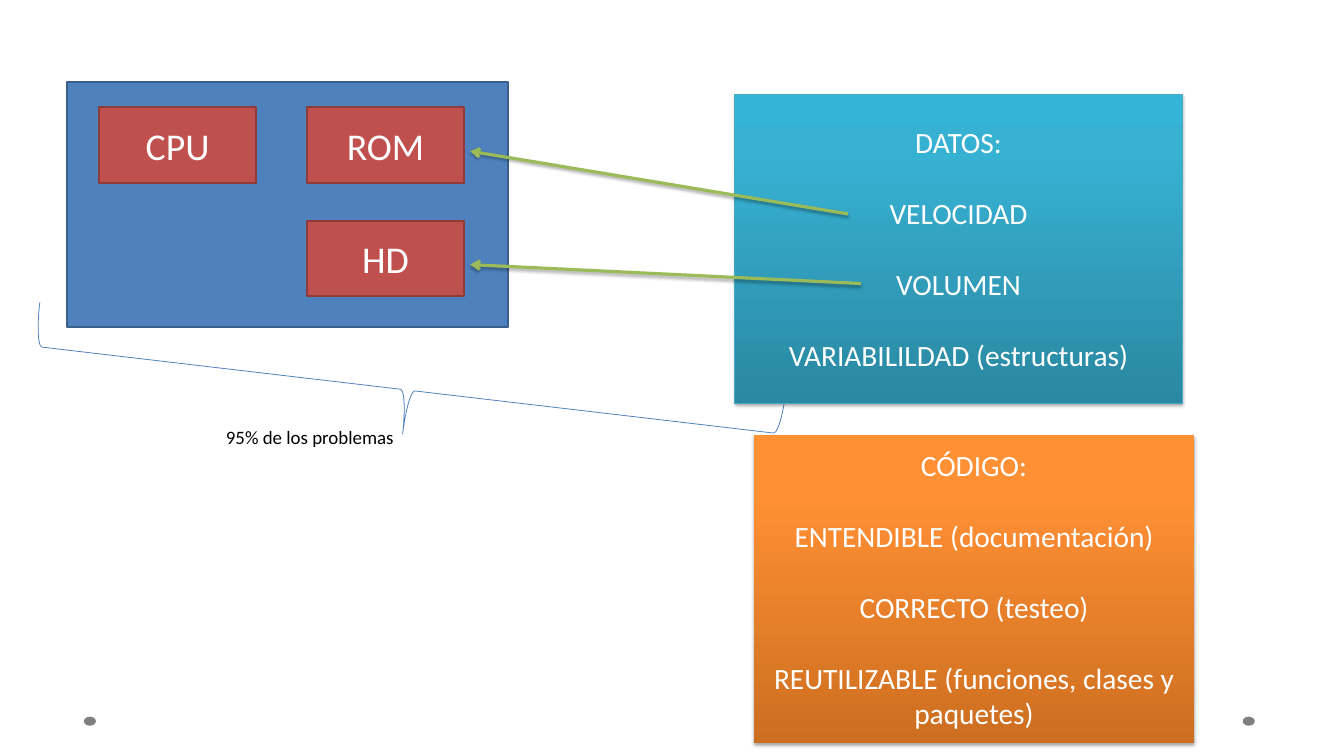
from dataclasses import dataclass

from lxml import etree
from pptx import Presentation
from pptx.dml.color import RGBColor
from pptx.enum.shapes import MSO_CONNECTOR, MSO_SHAPE
from pptx.enum.text import MSO_ANCHOR, MSO_AUTO_SIZE, PP_ALIGN
from pptx.oxml.ns import qn
from pptx.util import Inches, Pt

RECTANGLE = MSO_SHAPE.RECTANGLE
OVAL = MSO_SHAPE.OVAL
LEFT_BRACE = MSO_SHAPE.LEFT_BRACE
STRAIGHT = MSO_CONNECTOR.STRAIGHT
CENTER = PP_ALIGN.CENTER
LEFT = PP_ALIGN.LEFT
MIDDLE = MSO_ANCHOR.MIDDLE
FIT_SHAPE = MSO_AUTO_SIZE.SHAPE_TO_FIT_TEXT


@dataclass(frozen=True)
class Theme:
    font: str = "Calibri"
    white: str = "FFFFFF"
    black: str = "000000"
    dot: str = "7F7F7F"
    computer: str = "4F81BD"
    computer_line: str = "3A5F8C"
    component: str = "C0504D"
    component_line: str = "8E3B39"
    brace: str = "4B7EBC"
    arrow: str = "9BBB59"
    data_line: str = "46AAC5"
    data_stops: tuple = ((0, "2A88A2"), (80, "37B1D2"), (100, "34B4D6"))
    code_stops: tuple = ((0, "CC6E20"), (80, "FF9034"), (100, "FF9136"))
    component_size: int = 36
    panel_size: int = 28
    note_size: int = 18
    panel_gap: int = 34


@dataclass(frozen=True)
class Box:
    left: float
    top: float
    width: float
    height: float

    def lengths(self) -> tuple:
        return tuple(Inches(n) for n in (self.left, self.top, self.width, self.height))


@dataclass(frozen=True)
class Panel:
    box: Box
    lines: tuple
    stops: tuple
    line: str | None


@dataclass(frozen=True)
class Arrow:
    start: tuple
    end: tuple


THEME = Theme()
COMPUTER = Box(0.89, 1.08, 5.83, 3.25)
COMPONENT_LEFTS = (1.31, 4.06)
COMPONENT_TOPS = (1.42, 2.92)
COMPONENTS = (("CPU", 0, 0), ("ROM", 1, 0), ("HD", 1, 1))
BRACE = Box(4.81, 0.19, 1.17, 9.94)
NOTE = Box(2.89, 5.58, 2.45, 0.4)
DATA = Panel(
    Box(9.72, 1.25, 5.92, 4.08),
    ("DATOS:", "VELOCIDAD", "VOLUMEN", "VARIABILILDAD (estructuras)"),
    THEME.data_stops, THEME.data_line)
CODE = Panel(
    Box(9.97, 5.75, 5.83, 4.08),
    ("CÓDIGO:", "ENTENDIBLE (documentación)", "CORRECTO (testeo)",
     "REUTILIZABLE (funciones, clases y paquetes)"),
    THEME.code_stops, None)
ARROWS = (Arrow((11.22, 2.83), (6.22, 2)), Arrow((11.39, 3.75), (6.22, 3.5)))


def add_shape(slide, kind, box: Box, fill: str | None = None,
              line: str | None = None, line_width: float = 0.75):
    shape = slide.shapes.add_shape(kind, *box.lengths())
    shape.shadow.inherit = False
    if fill:
        shape.fill.solid()
        shape.fill.fore_color.rgb = RGBColor.from_string(fill)
    else:
        shape.fill.background()
    if line:
        shape.line.color.rgb = RGBColor.from_string(line)
        shape.line.width = Pt(line_width)
    else:
        shape.line.fill.background()
    return shape


def write_text(shape, *lines: str, size: int, color: str = THEME.white,
               align=CENTER, gap: int = 0) -> None:
    """Write one paragraph per line, with gap points between them."""
    frame = shape.text_frame
    for index, line in enumerate(lines):
        paragraph = frame.add_paragraph() if index else frame.paragraphs[0]
        paragraph.alignment = align
        if index and gap:
            paragraph.space_before = Pt(gap)
        run = paragraph.add_run()
        run.text = line
        run.font.name = THEME.font
        run.font.size = Pt(size)
        run.font.color.rgb = RGBColor.from_string(color)


def add_color(parent, color: str):
    return etree.SubElement(parent, qn("a:srgbClr"), val=color)


def set_gradient(shape, stops: tuple) -> None:
    """Fill from bottom to top with (percent, colour) stops."""
    shape.fill.gradient()
    shape.fill.gradient_angle = 90
    stop_list = shape.element.spPr.find(qn("a:gradFill")).find(qn("a:gsLst"))
    for old_stop in list(stop_list):
        stop_list.remove(old_stop)
    for percent, color in stops:
        add_color(etree.SubElement(stop_list, qn("a:gs"), pos=str(percent * 1000)), color)


def set_shadow(shape) -> None:
    """Give the shape a soft shadow straight below it."""
    properties = shape.element.spPr
    effects = properties.find(qn("a:effectLst"))
    if effects is None:
        effects = etree.SubElement(properties, qn("a:effectLst"))
    shadow = etree.SubElement(
        effects, qn("a:outerShdw"), blurRad=str(Pt(3.1)), dist=str(Pt(1.8)),
        dir="5400000", rotWithShape="0")
    etree.SubElement(add_color(shadow, THEME.black), qn("a:alpha"), val="35000")


def add_panel(slide, panel: Panel) -> None:
    shape = add_shape(slide, RECTANGLE, panel.box, line=panel.line)
    set_gradient(shape, panel.stops)
    set_shadow(shape)
    shape.text_frame.word_wrap = True
    shape.text_frame.vertical_anchor = MIDDLE
    write_text(shape, *panel.lines, size=THEME.panel_size, gap=THEME.panel_gap)


def add_arrow(slide, arrow: Arrow) -> None:
    ends = (Inches(n) for n in arrow.start + arrow.end)
    connector = slide.shapes.add_connector(STRAIGHT, *ends)
    connector.line.color.rgb = RGBColor.from_string(THEME.arrow)
    connector.line.width = Pt(3)
    line = connector.element.spPr.find(qn("a:ln"))
    etree.SubElement(line, qn("a:tailEnd"), type="arrow")
    set_shadow(connector)


def add_computer(slide) -> None:
    add_shape(slide, RECTANGLE, COMPUTER, THEME.computer, THEME.computer_line, 2)
    for name, column, row in COMPONENTS:
        box = Box(COMPONENT_LEFTS[column], COMPONENT_TOPS[row], 2.08, 1)
        component = add_shape(slide, RECTANGLE, box, THEME.component,
                              THEME.component_line, 2)
        component.text_frame.vertical_anchor = MIDDLE
        write_text(component, name, size=THEME.component_size)


def add_note(slide) -> None:
    note = slide.shapes.add_textbox(*NOTE.lengths())
    note.text_frame.word_wrap = False
    note.text_frame.auto_size = FIT_SHAPE
    write_text(note, "95% de los problemas", size=THEME.note_size,
               color=THEME.black, align=LEFT)


def main() -> None:
    presentation = Presentation()
    presentation.slide_width = Inches(17.78)
    presentation.slide_height = Inches(10)
    slide = presentation.slides.add_slide(presentation.slide_layouts[6])

    for left in (16.44, 1.11):
        add_shape(slide, OVAL, Box(left, 9.48, 0.16, 0.12), THEME.dot)
    add_computer(slide)
    brace = add_shape(slide, LEFT_BRACE, BRACE, line=THEME.brace)
    brace.rotation = 276.7
    add_note(slide)
    add_panel(slide, DATA)
    for arrow in ARROWS:
        add_arrow(slide, arrow)
    add_panel(slide, CODE)
    presentation.save("out.pptx")


if __name__ == "__main__":
    main()
